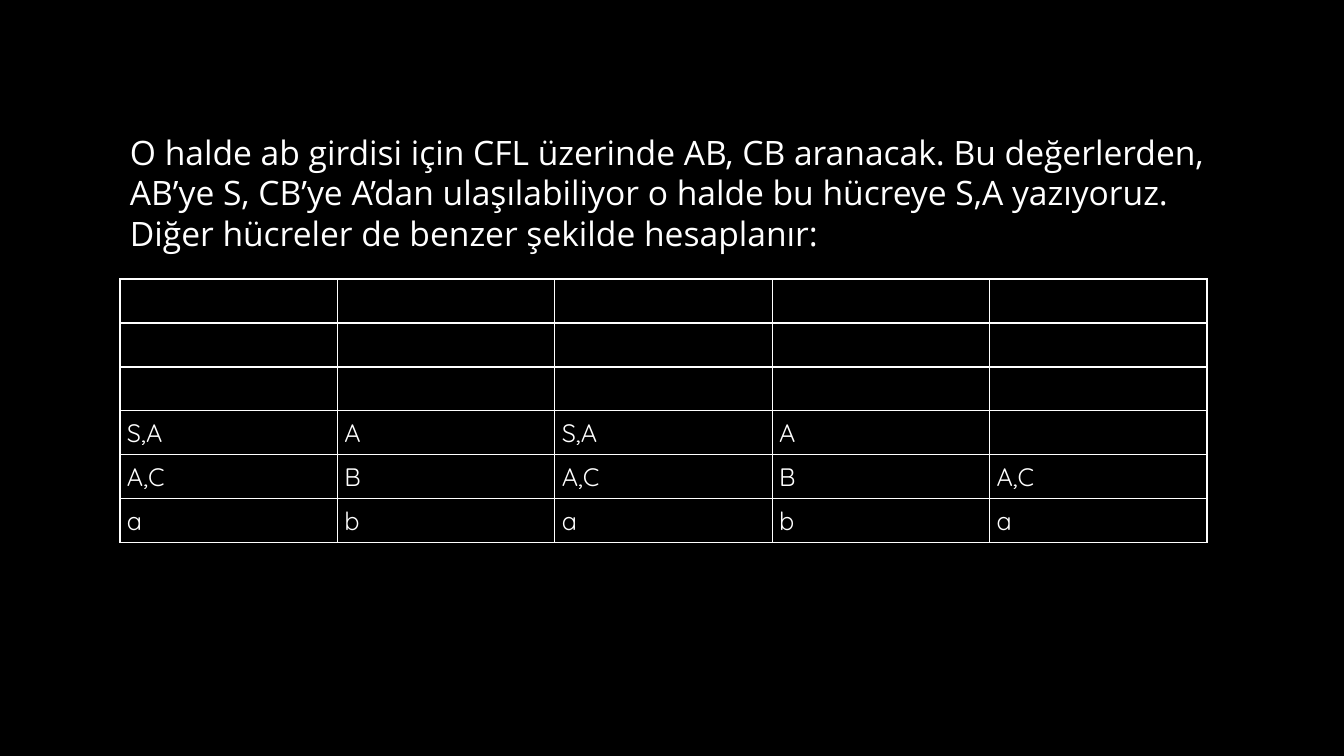
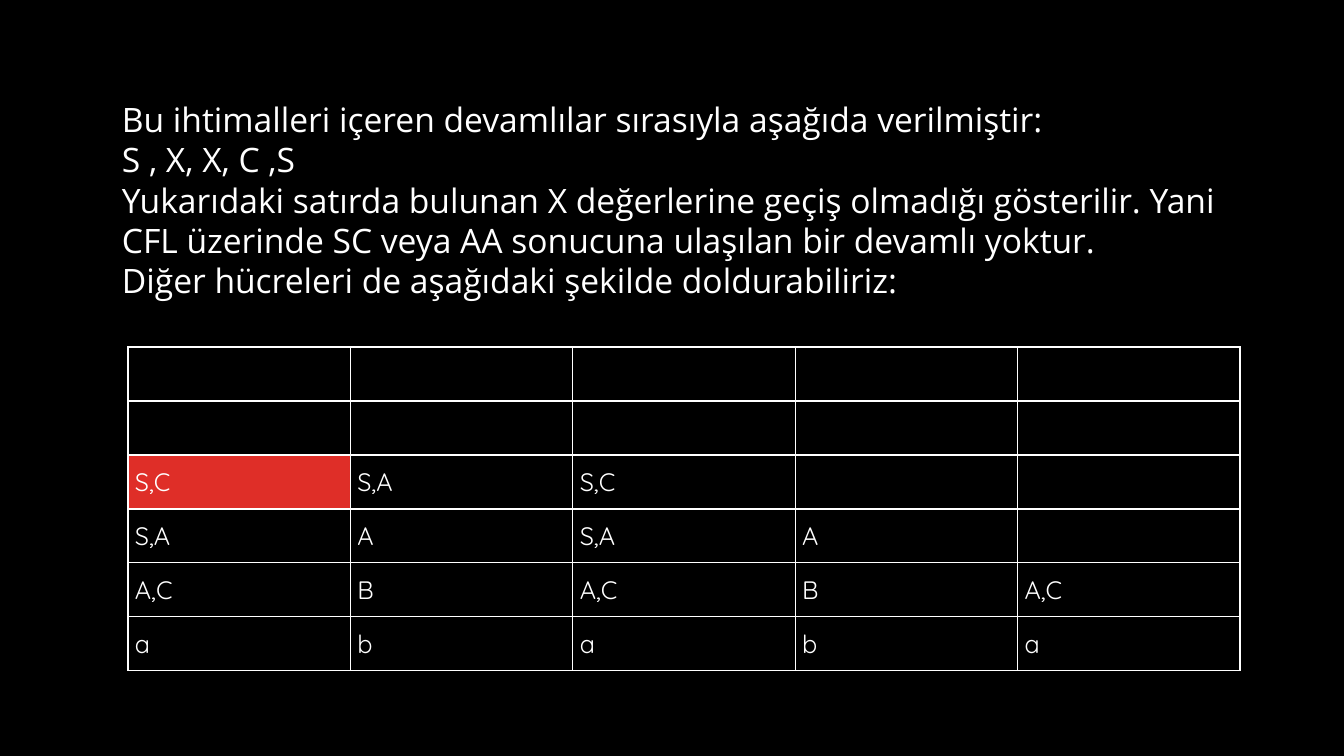
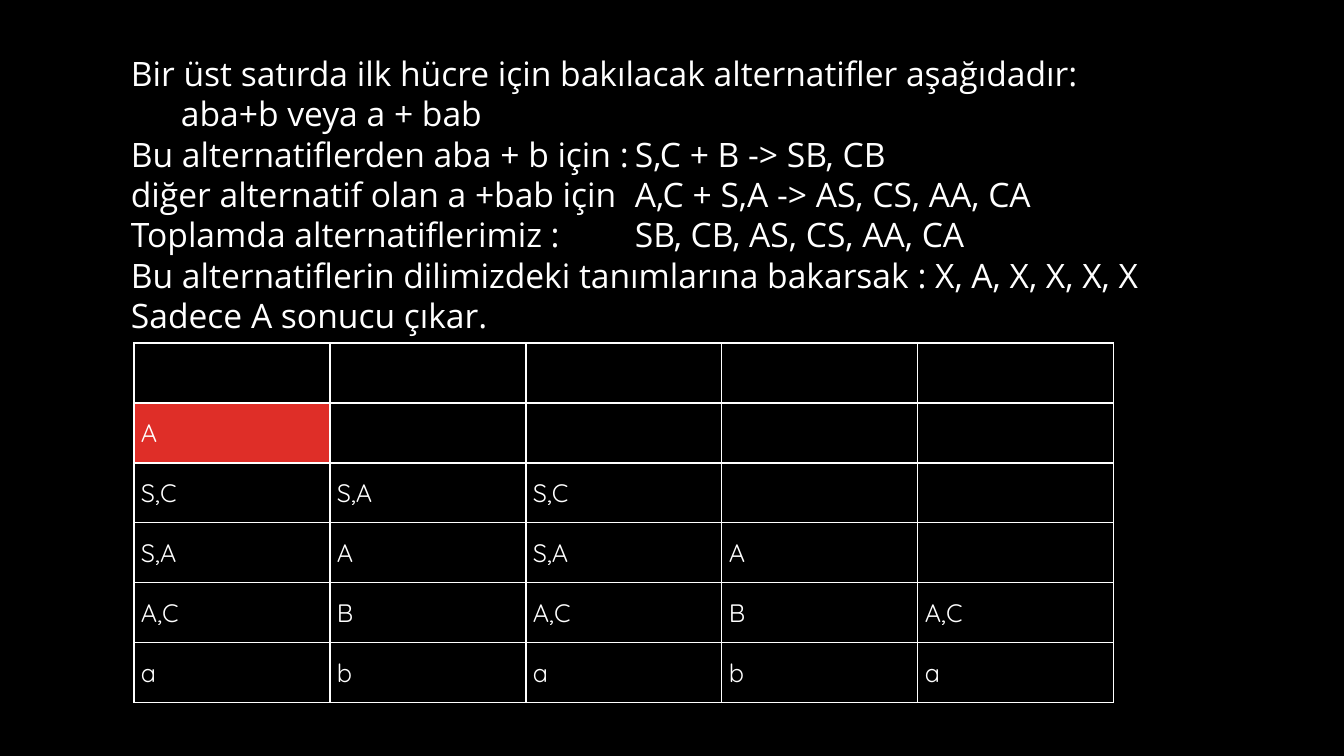
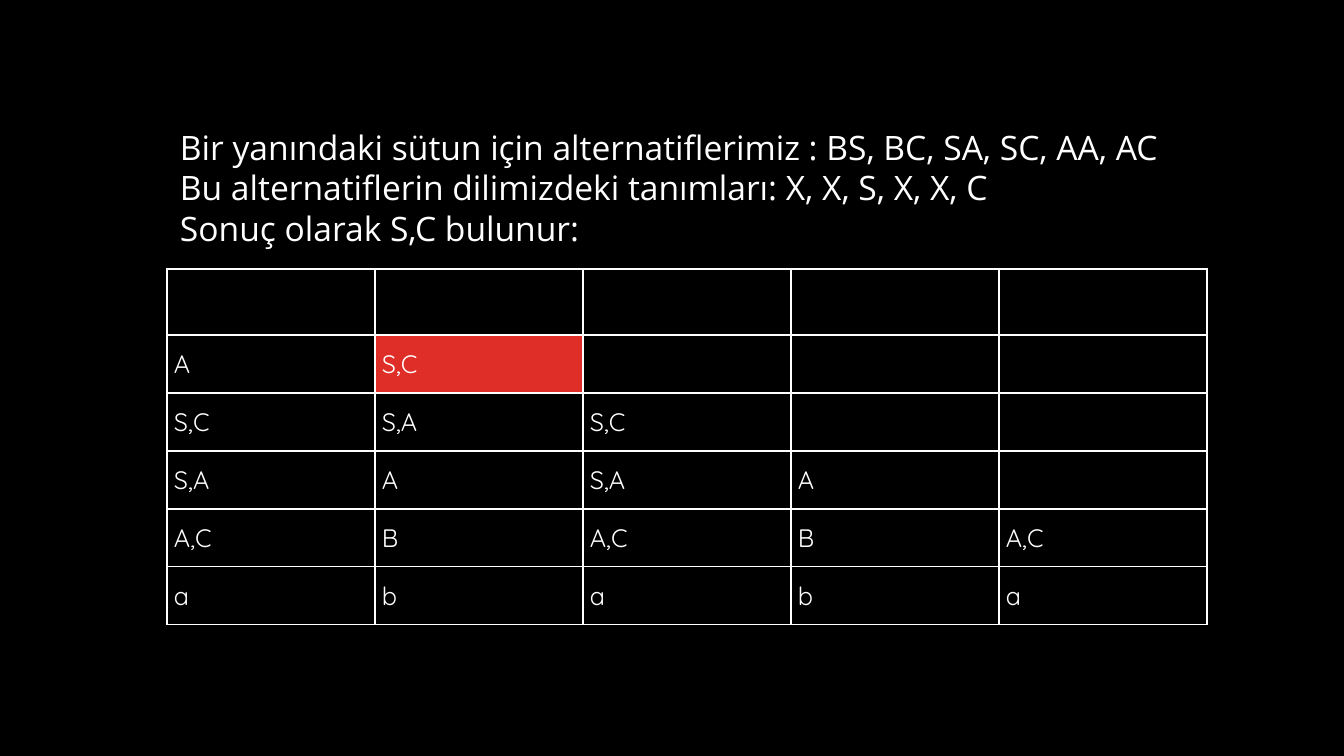
"""Build four slides that fill in a CYK parsing table step by step."""
from lxml import etree
from pptx import Presentation
from pptx.dml.color import RGBColor
from pptx.enum.text import MSO_ANCHOR
from pptx.oxml.ns import qn
from pptx.util import Pt

MIDDLE = MSO_ANCHOR.MIDDLE
TOP = MSO_ANCHOR.TOP
PX = 12192000 / 1344
COLS, ROWS = 5, 6


class Theme:
    """Colours, fonts and sizes that all slides share."""
    ink = RGBColor.from_string("FFFFFF")
    back = RGBColor.from_string("000000")
    mark = RGBColor.from_string("DF2E28")
    body = {"name": "Open Sans", "size": Pt(24)}
    cell = {"name": "Quicksand", "size": Pt(18)}
    pad = {"margin_left": 7, "margin_right": 7, "margin_top": 6, "margin_bottom": 6}
    line = Pt(1)
    tabs = (50, 504)


PAIRS = [["S,A", "A", "S,A", "A"], ["A,C", "B", "A,C", "B", "A,C"], ["a", "b", "a", "b", "a"]]
TRIOS = [["S,C", "S,A", "S,C"]] + PAIRS

SLIDES = [
    {"text": (120, 127, 1106, 132),
     "lines": ["O halde ab girdisi için CFL üzerinde AB, CB aranacak. Bu değerlerden, "
               "AB’ye S, CB’ye A’dan ulaşılabiliyor o halde bu hücreye S,A yazıyoruz.",
               "Diğer hücreler de benzer şekilde hesaplanır:"],
     "grid": (120, 279, 1087), "tall": [44] * ROWS, "cells": PAIRS, "mark": None},
    {"text": (112, 94, 1171, 212),
     "lines": ["Bu ihtimalleri içeren devamlılar sırasıyla aşağıda verilmiştir:",
               "S , X, X, C ,S",
               "Yukarıdaki satırda bulunan X değerlerine geçiş olmadığı gösterilir. "
               "Yani CFL üzerinde SC veya AA sonucuna ulaşılan bir devamlı yoktur.",
               "Diğer hücreleri de aşağıdaki şekilde doldurabiliriz:"],
     "grid": (128, 347, 1112), "tall": [54] * ROWS, "cells": TRIOS, "mark": (2, 0)},
    {"text": (121, 48, 1119, 295),
     "lines": ["Bir üst satırda ilk hücre için bakılacak alternatifler aşağıdadır:",
               "\taba+b veya a + bab",
               "Bu alternatiflerden aba + b için :\tS,C + B -> SB, CB",
               "diğer alternatif olan a +bab için \tA,C + S,A -> AS, CS, AA, CA",
               "Toplamda alternatiflerimiz :\tSB, CB, AS, CS, AA, CA",
               "Bu alternatiflerin dilimizdeki tanımlarına bakarsak : X, A, X, X, X, X",
               "Sadece A sonucu çıkar."],
     "grid": (134, 343, 980), "tall": [60] * ROWS, "cells": [["A"]] + TRIOS, "mark": (1, 0)},
    {"text": (170, 122, 1067, 132),
     "lines": ["Bir yanındaki sütun için alternatiflerimiz : BS, BC, SA, SC, AA, AC",
               "Bu alternatiflerin dilimizdeki tanımları: X, X, S, X, X, C",
               "Sonuç olarak S,C bulunur:"],
     "grid": (167, 269, 1040), "tall": [66] + [58] * (ROWS - 1),
     "cells": [["A", "S,C"]] + TRIOS, "mark": (1, 1)},
]


def px(num):
    """Turn pixels into EMU."""
    return round(num * PX)


def write(para, words, look):
    """Add one run in the given look."""
    run = para.add_run()
    run.text = words
    for key, val in look.items():
        setattr(run.font, key, val)
    run.font.color.rgb = Theme.ink


def add_text(slide, box, lines):
    """Add the text above the table."""
    frame = slide.shapes.add_textbox(*map(px, box)).text_frame
    frame.word_wrap = True
    frame.vertical_anchor = TOP
    for num, words in enumerate(lines):
        para = frame.add_paragraph() if num else frame.paragraphs[0]
        write(para, words, Theme.body)
        if "\t" in words:
            stops = etree.SubElement(para._p.get_or_add_pPr(), qn("a:tabLst"))
            for stop in Theme.tabs:
                etree.SubElement(stops, qn("a:tab"), pos=str(px(stop)), algn="l")


def style(cell, fill):
    """Set the borders, fill and margins of a cell."""
    props = cell._tc.get_or_add_tcPr()
    for side in ("lnL", "lnR", "lnT", "lnB"):
        edge = etree.SubElement(props, qn(f"a:{side}"), w=str(Theme.line))
        paint = etree.SubElement(edge, qn("a:solidFill"))
        etree.SubElement(paint, qn("a:srgbClr"), val=str(Theme.ink))
    cell.fill.solid()
    cell.fill.fore_color.rgb = fill
    cell.vertical_anchor = MIDDLE
    for key, val in Theme.pad.items():
        setattr(cell, key, px(val))


def add_grid(slide, place, tall, cells, mark):
    """Add the table, filled from the bottom row up."""
    left, top, wide = place
    box = map(px, (left, top, wide, sum(tall)))
    table = slide.shapes.add_table(ROWS, COLS, *box).table
    table.first_row = table.horz_banding = False
    for col in table.columns:
        col.width = px(wide / COLS)
    full = [[]] * (ROWS - len(cells)) + cells
    for r, (high, words) in enumerate(zip(tall, full)):
        table.rows[r].height = px(high)
        for c in range(COLS):
            cell = table.cell(r, c)
            style(cell, Theme.mark if (r, c) == mark else Theme.back)
            if c < len(words):
                write(cell.text_frame.paragraphs[0], words[c], Theme.cell)


def main():
    """Build and save the deck."""
    deck = Presentation()
    deck.slide_width, deck.slide_height = px(1344), px(756)
    blank = deck.slide_layouts[6]
    for data in SLIDES:
        slide = deck.slides.add_slide(blank)
        slide.background.fill.solid()
        slide.background.fill.fore_color.rgb = Theme.back
        add_text(slide, data["text"], data["lines"])
        add_grid(slide, data["grid"], data["tall"], data["cells"], data["mark"])
    deck.save("out.pptx")


if __name__ == "__main__":
    main()
